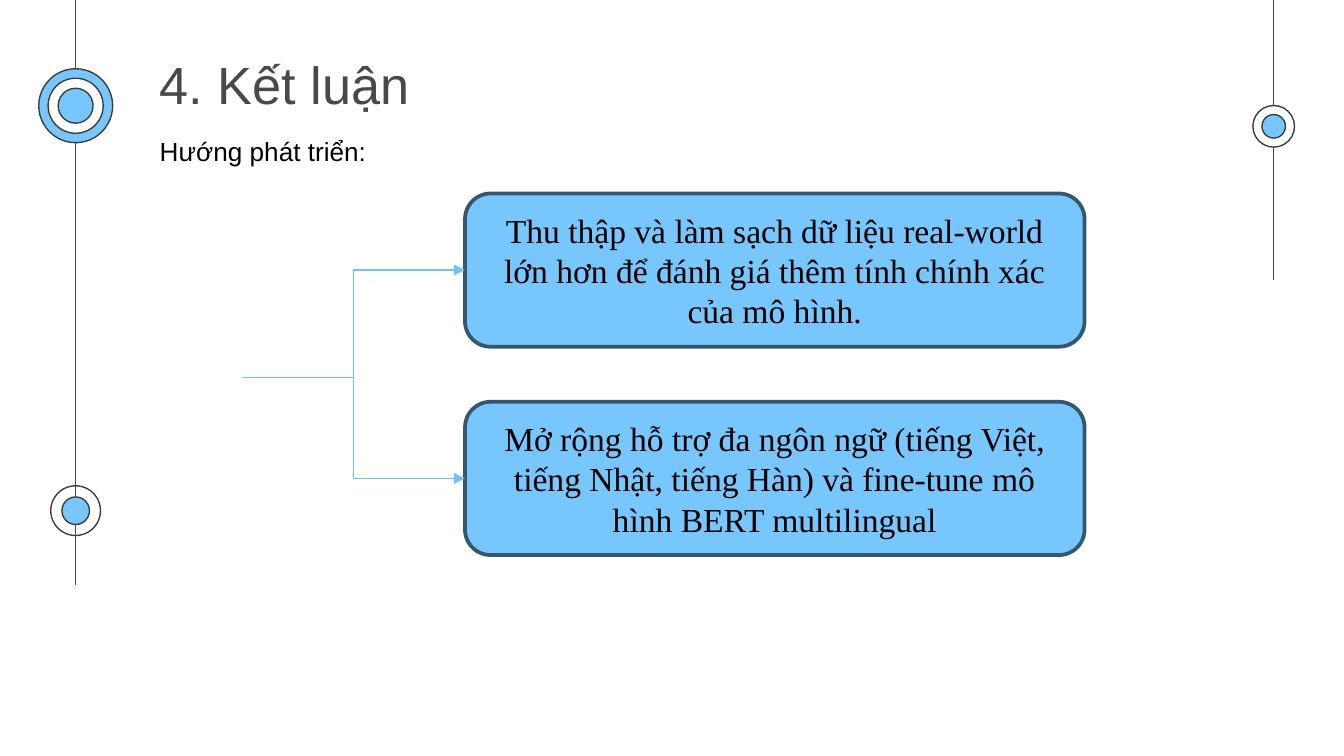
from dataclasses import dataclass

from lxml.etree import SubElement
from pptx import Presentation
from pptx.dml.color import RGBColor as Rgb
from pptx.enum.shapes import MSO_CONNECTOR as Link, MSO_SHAPE as Form
from pptx.enum.text import MSO_ANCHOR as Anchor, MSO_AUTO_SIZE as Fit, PP_ALIGN as Align
from pptx.oxml.ns import qn
from pptx.util import Inches, Pt

COLORS = {"sky": "77C6FC", "white": "FFFFFF", "ink": "3D3D3D", "gray": "494949",
          "black": "000000", "navy": "34576E", "arrow": "71C2FA"}
COLS, ROWS = 100, 56.25
WIDTH = Inches(10)
CELL = WIDTH / COLS


@dataclass
class Ring:
    col: float
    row: float
    size: float
    fill: str | None


@dataclass
class Label:
    words: str
    col: float
    row: float
    wide: float
    high: float
    font: str
    size: int
    color: str


def grid(*cells: float) -> list[int]:
    return [round(cell * CELL) for cell in cells]


def color(name: str) -> Rgb:
    return Rgb.from_string(COLORS[name])


def draw_line(shapes, kind: Link, ends: tuple, tint: str, arrow: bool = False) -> None:
    line = shapes.add_connector(kind, *grid(*ends))
    line.line.color.rgb = color(tint)
    line.line.width = Pt(0.75)
    if arrow:
        SubElement(line.line._get_or_add_ln(), qn("a:tailEnd"), type="triangle")
    SubElement(line._element.spPr, qn("a:effectLst"))


def draw_shape(shapes, form: Form, area: tuple, fill: str | None, edge: str, weight: float):
    shape = shapes.add_shape(form, *grid(*area))
    shape.shadow.inherit = False
    if fill:
        shape.fill.solid()
        shape.fill.fore_color.rgb = color(fill)
    else:
        shape.fill.background()
    shape.line.color.rgb = color(edge)
    shape.line.width = Pt(weight)
    return shape


def draw_ring(shapes, ring: Ring) -> None:
    half = ring.size / 2
    area = (ring.col - half, ring.row - half, ring.size, ring.size)
    draw_shape(shapes, Form.OVAL, area, ring.fill, "ink", 0.75)


def write(shape, label: Label) -> None:
    frame = shape.text_frame
    frame.word_wrap = True
    frame.text = label.words
    font = frame.paragraphs[0].runs[0].font
    font.name = label.font
    font.size = Pt(label.size)
    font.color.rgb = color(label.color)


def draw_text(shapes, label: Label):
    box = shapes.add_textbox(*grid(label.col, label.row, label.wide, label.high))
    write(box, label)
    return box.text_frame


def draw_card(shapes, label: Label) -> None:
    area = (label.col, label.row, label.wide, label.high)
    card = draw_shape(shapes, Form.ROUNDED_RECTANGLE, area, "sky", "navy", 2)
    write(card, label)
    card.text_frame.vertical_anchor = Anchor.MIDDLE
    card.text_frame.paragraphs[0].alignment = Align.CENTER


LEFT, RIGHT = 5.63, 94.77
RAILS = [(LEFT, 43.5), (RIGHT, 20.8)]
RINGS = [
    Ring(LEFT, 38, 3.7, None),
    Ring(LEFT, 38, 2.05, "sky"),
    Ring(RIGHT, 9.4, 3.1, "white"),
    Ring(RIGHT, 9.4, 1.75, "sky"),
    Ring(LEFT, 7.87, 5.5, "sky"),
    Ring(LEFT, 7.87, 4.1, "white"),
    Ring(LEFT, 7.87, 2.6, "sky"),
]
TITLE = Label("4. Kết luận", 10.9, 2.9, 50.3, 6.8, "Arial", 28, "gray")
LEAD = Label("Hướng phát triển:", 10.9, 9.6, 25.9, 3.4, "Arial", 14, "black")
GOALS = [
    "Thu thập và làm sạch dữ liệu real‑world lớn hơn để đánh giá thêm tính chính xác của mô hình.",
    "Mở rộng hỗ trợ đa ngôn ngữ (tiếng Việt, tiếng Nhật, tiếng Hàn) và fine‑tune mô hình BERT multilingual",
]
TOP, STEP = 14.4, 15.5
CARDS = [Label(words, 34.6, TOP + i * STEP, 46.1, 11.4, "Times New Roman", 18, "black")
         for i, words in enumerate(GOALS)]
ROOT = (18, 28.1)


def main() -> None:
    deck = Presentation()
    deck.slide_width, deck.slide_height = grid(COLS, ROWS)
    shapes = deck.slides.add_slide(deck.slide_layouts[6]).shapes
    for col, end in RAILS:
        draw_line(shapes, Link.STRAIGHT, (col, 0, col, end), "gray")
    for ring in RINGS:
        draw_ring(shapes, ring)
    frame = draw_text(shapes, TITLE)
    frame.margin_top, frame.margin_bottom = grid(1, 1)
    draw_text(shapes, LEAD).auto_size = Fit.SHAPE_TO_FIT_TEXT
    for card in CARDS:
        draw_card(shapes, card)
    for card in CARDS:
        ends = (*ROOT, card.col, card.row + card.high / 2)
        draw_line(shapes, Link.ELBOW, ends, "arrow", arrow=True)
    deck.save("out.pptx")


if __name__ == "__main__":
    main()
